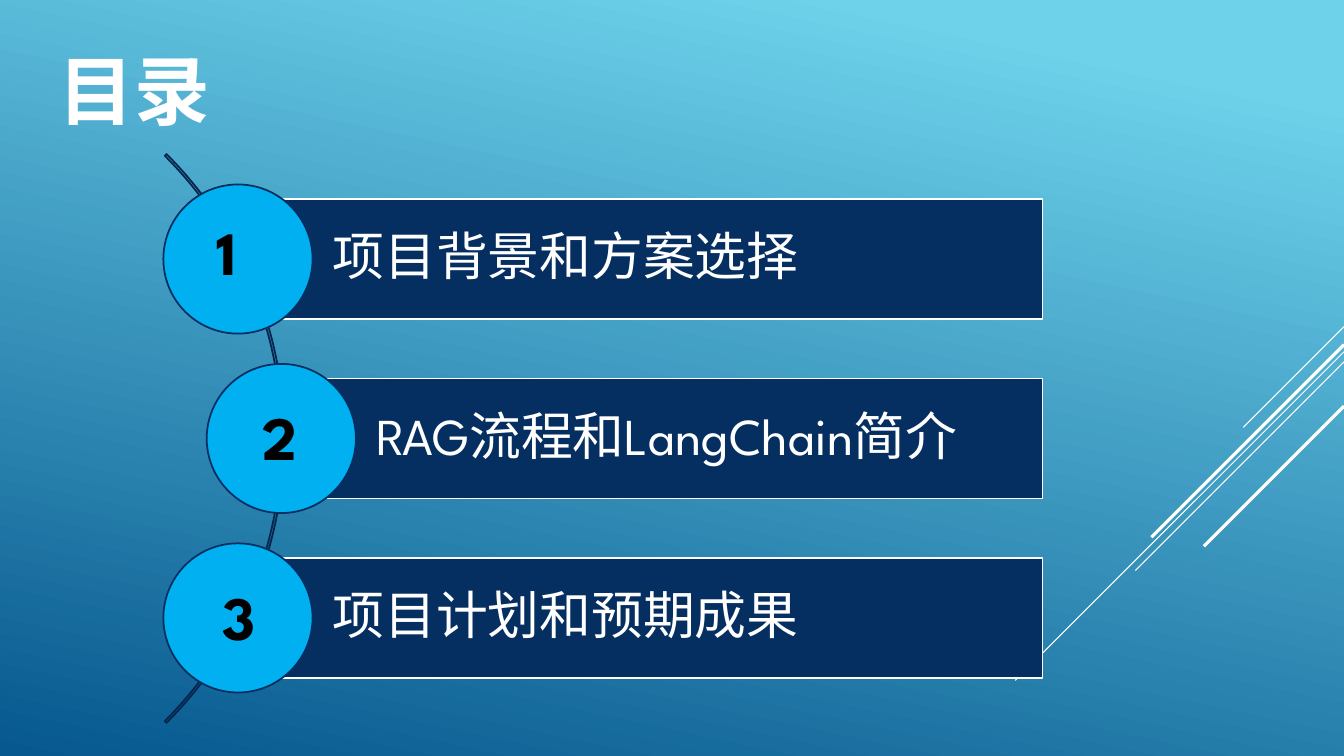
from pptx import Presentation
from pptx.dml.color import RGBColor
from pptx.enum.shapes import MSO_CONNECTOR, MSO_SHAPE
from pptx.enum.text import MSO_ANCHOR, MSO_AUTO_SIZE, PP_ALIGN
from pptx.oxml.ns import qn
from pptx.util import Inches, Pt
from lxml import etree

LINE = MSO_CONNECTOR.STRAIGHT
ARC, BAR, DISC = MSO_SHAPE.BLOCK_ARC, MSO_SHAPE.RECTANGLE, MSO_SHAPE.OVAL
W, H = 13.33, 7.5
NAVY, SKY, WHITE = "052F61", "00B0F0", "FFFFFF"


def add_outlined(kind, x, y, w, h, line, fill=None):
    sp = s.shapes.add_shape(kind, Inches(x), Inches(y), Inches(w), Inches(h))
    sp.shadow.inherit = False
    if fill:
        sp.fill.solid()
        sp.fill.fore_color.rgb = RGBColor.from_string(fill)
    else:
        sp.fill.background()
    sp.line.color.rgb = RGBColor.from_string(line)
    sp.line.width = Pt(1.25)
    return sp


def write(sp, text, size, color=WHITE, bold=False, anchor=MSO_ANCHOR.TOP,
          left=0.1, spacing=1.0, auto_size=MSO_AUTO_SIZE.NONE):
    tf = sp.text_frame
    tf.text = text
    tf.word_wrap = True
    tf.auto_size = auto_size
    tf.vertical_anchor = anchor
    tf.margin_left = Inches(left)
    p = tf.paragraphs[0]
    p.alignment = PP_ALIGN.LEFT
    p.line_spacing = spacing
    font = p.runs[0].font
    font.name, font.size, font.bold = "League Spartan", Pt(size), bold
    font.color.rgb = RGBColor.from_string(color)


prs = Presentation()
prs.slide_width, prs.slide_height = Inches(W), Inches(H)
s = prs.slides.add_slide(prs.slide_layouts[5])

# Background gradient
bg = s.background.fill
bg.gradient()
bg.gradient_angle = 360 - 102
for stop, (pos, color) in zip(bg.gradient_stops, [(0.1, "6ED2EB"), (1, "06588E")]):
    stop.position = pos
    stop.color.rgb = RGBColor.from_string(color)

# Diagonals at 45 degrees from the right edge: start height, run, weight
for y, run, weight in [(3.24, 1, 0.75), (3.49, 3.26, 0.75), (3.59, 2.07, 0.75),
                       (3.42, 1.91, 2.25), (4.03, 1.39, 2.25)]:
    cx = s.shapes.add_connector(LINE, Inches(W), Inches(y),
                                Inches(W - run), Inches(y + run))
    cx.line.color.rgb = RGBColor.from_string(WHITE)
    cx.line.width = Pt(weight)
    etree.SubElement(cx._element.spPr, qn("a:effectLst"))

title = s.shapes.title
title.left, title.top, title.width, title.height = map(Inches, (0.48, 0.34, 9.33, 1.05))
write(title, "目录", 54, bold=True, anchor=MSO_ANCHOR.BOTTOM)

# Agenda: an arc, then a bar and a numbered disc per row
arc = add_outlined(ARC, -5.16, 0.36, 7.98, 7.98, "04264E")
for i, adj in enumerate((189, 27, 0.003)):
    arc.adjustments[i] = adj

BAR_RIGHT, BAR_H, DISC_D = 10.34, 1.19, 1.48
FIRST_Y, PITCH = 2.57, 1.78
agenda = [  # label, bar left, number left, number top, number width
    ("项目背景和方案选择", 2.36, 2.05, 2.07, 0.59),
    ("RAG流程和LangChain简介", 2.79, 2.51, 3.91, 0.5),
    ("项目计划和预期成果", 2.36, 2.11, 5.69, 0.5),
]
for i, (label, x, num_x, num_y, num_w) in enumerate(agenda):
    mid = FIRST_Y + i * PITCH
    bar = add_outlined(BAR, x, mid - BAR_H / 2, BAR_RIGHT - x, BAR_H, WHITE, NAVY)
    write(bar, label, 37, anchor=MSO_ANCHOR.MIDDLE, left=0.94, spacing=0.9)
    add_outlined(DISC, x - DISC_D / 2, mid - DISC_D / 2, DISC_D, DISC_D, NAVY, SKY)
    number = s.shapes.add_textbox(Inches(num_x), Inches(num_y), Inches(num_w), Inches(0.85))
    write(number, str(i + 1), 44, "000000", bold=True,
          auto_size=MSO_AUTO_SIZE.SHAPE_TO_FIT_TEXT)

prs.save("out.pptx")
